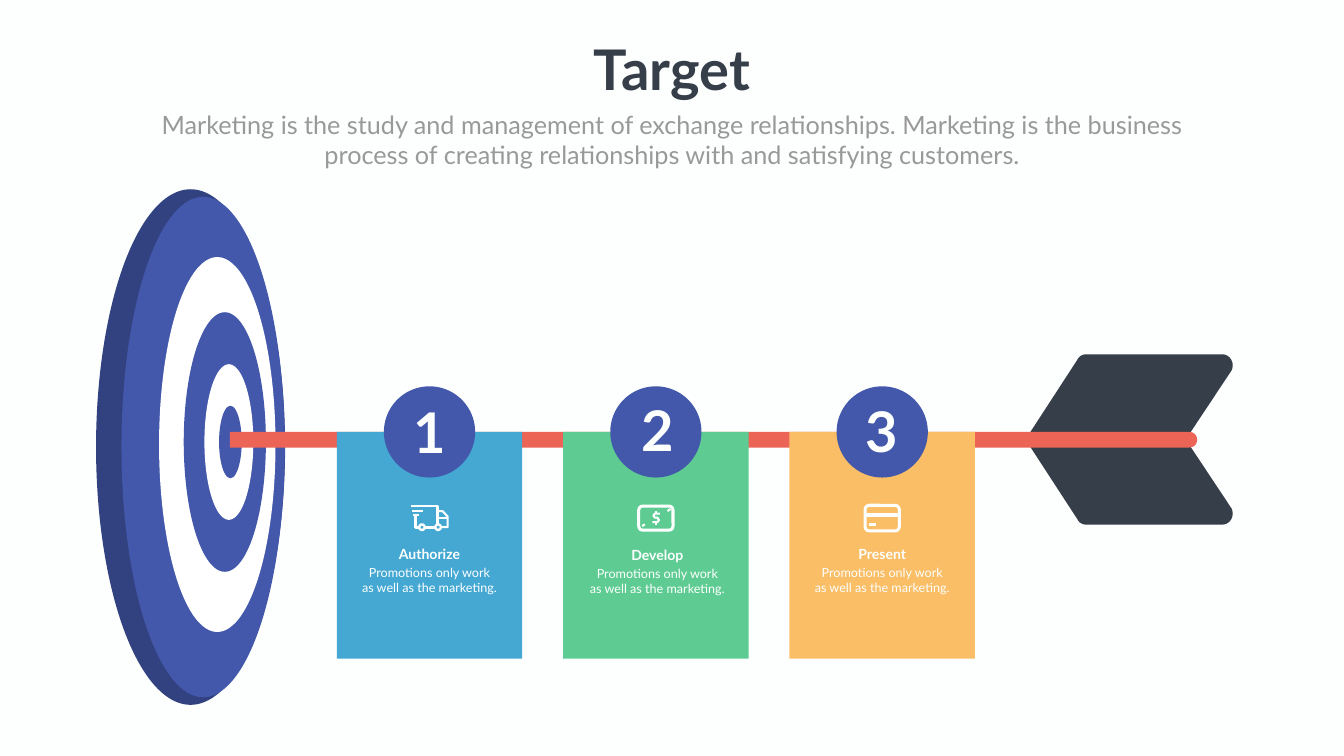
from lxml import etree
from pptx import Presentation, util as u
from pptx.dml.color import RGBColor
from pptx.enum import shapes, text
from pptx.oxml.ns import qn

COLORS = {"paper": "FDFFFE", "white": "FFFFFF", "ink": "353E49", "gray": "989998",
          "navy": "324280", "blue": "4358AB", "red": "EC6455",
          "sky": "44A8D3", "green": "5ECC92", "amber": "F9BE66"}
COLS, ROWS = 26.66, 15
OVAL, RECT, ROUND = (shapes.MSO_SHAPE.OVAL, shapes.MSO_SHAPE.RECTANGLE,
                     shapes.MSO_SHAPE.ROUNDED_RECTANGLE)


def rgb(name):
    """Look up a colour by name."""
    return RGBColor.from_string(COLORS[name])


def write(tf, content, size=18, color="paper", bold=False, wrap=True):
    """Fill a text frame with centred paragraphs, one for each line."""
    tf.word_wrap = wrap
    for i, line in enumerate(content.split("\n")):
        p = tf.paragraphs[0] if i == 0 else tf.add_paragraph()
        p.alignment = text.PP_ALIGN.CENTER
        r = p.add_run()
        r.text = line
        r.font.name, r.font.size, r.font.bold = "Lato", u.Pt(size), bold
        r.font.color.rgb = rgb(color)


def bezier(a, b, c, d, steps=10):
    """Return points along a cubic curve, without its start."""
    ts = [i / steps for i in range(1, steps + 1)]
    return [tuple((1 - t) ** 3 * w + 3 * t * (1 - t) ** 2 * x
                  + 3 * t * t * (1 - t) * y + t ** 3 * z
                  for w, x, y, z in zip(a, b, c, d)) for t in ts]


class Deck:
    """Hold the grid and the current slide."""

    def __init__(self):
        """Open a deck with one blank slide."""
        self.prs = Presentation()
        self.prs.slide_width, self.prs.slide_height = u.Inches(COLS), u.Inches(ROWS)
        self.s = self.prs.slides.add_slide(self.prs.slide_layouts[6])
        fill = self.s.background.fill
        fill.solid()
        fill.fore_color.rgb = rgb("paper")

    def grid(self, *cells):
        """Turn column and row pairs into lengths."""
        units = self.prs.slide_width / COLS, self.prs.slide_height / ROWS
        return [round(n * units[i % 2]) for i, n in enumerate(cells)]

    def paint(self, sp, color=None, line=None):
        """Give a shape a fill or an outline."""
        sp.shadow.inherit = False
        if color:
            sp.fill.solid()
            sp.fill.fore_color.rgb = rgb(color)
        else:
            sp.fill.background()
        if line:
            sp.line.color.rgb, sp.line.width = rgb("paper"), u.Pt(line)
        else:
            sp.line.fill.background()

    def shape(self, kind, cx, cy, w, h, color=None, line=None):
        """Draw a preset shape around its centre."""
        sp = self.s.shapes.add_shape(kind, *self.grid(cx - w / 2, cy - h / 2, w, h))
        self.paint(sp, color, line)
        return sp

    def outline(self, points, color=None, line=None):
        """Draw a filled outline or an open stroke."""
        points = [self.grid(*p) for p in points]
        fb = self.s.shapes.build_freeform(*points[0])
        fb.add_line_segments(points[1:], close=color is not None)
        self.paint(fb.convert_to_shape(), color, line)

    def line(self, x1, y1, x2, y2, width):
        """Draw a straight line."""
        sp = self.s.shapes.add_connector(shapes.MSO_CONNECTOR.STRAIGHT,
                                         *self.grid(x1, y1, x2, y2))
        sp.line.color.rgb, sp.line.width = rgb("paper"), u.Pt(width)
        etree.SubElement(sp._element.spPr, qn("a:effectLst"))

    def label(self, content, cx, top, w, h, **fmt):
        """Place a text box centred on a column."""
        sp = self.s.shapes.add_textbox(*self.grid(cx - w / 2, top, w, h))
        write(sp.text_frame, content, **fmt)


def truck(d, x, y):
    """Draw the delivery icon."""
    d.outline([(x - .37, y - .24), (x + .16, y - .24), (x + .16, y + .13)], line=4)
    d.outline([(x + .19, y - .14), (x + .26, y - .14), (x + .36, y - .03),
               (x + .36, y + .18), (x + .23, y + .18)], line=3)
    d.outline([(x - .28, y - .05), (x - .28, y + .18), (x - .2, y + .18)], line=4)
    for x1, dy, x2, width in ((-.35, -.14, -.12, 4), (-.32, -.06, -.2, 3.4),
                              (-.1, .18, .11, 4), (.17, -.01, .36, 3)):
        d.line(x + x1, y + dy, x + x2, y + dy, width)
    for dx in (-.15, .17):
        d.shape(OVAL, x + dx, y + .18, .11, .11, line=3.4)


def banknote(d, x, y):
    """Draw the money icon."""
    d.shape(ROUND, x, y, .68, .48, line=4.3)
    d.outline([(x + .08, y - .09), (x - .02, y - .09), (x - .05, y - .05),
               (x - .02, y - .01), (x + .03, y - .01), (x + .06, y + .04),
               (x + .03, y + .08), (x - .07, y + .08)], line=3)
    for x1, y1, x2, y2 in ((0, -.15, 0, -.09), (0, .09, 0, .14),
                           (.23, -.14, .29, -.18), (-.27, .16, -.22, .12)):
        d.line(x + x1, y + y1, x + x2, y + y2, 3)


def bank_card(d, x, y):
    """Draw the payment icon."""
    d.shape(ROUND, x, y, .68, .51, line=4.3)
    d.line(x - .34, y - .06, x + .34, y - .06, 5)
    d.line(x - .26, y + .13, x - .12, y + .13, 3.6)


def main():
    """Build the slide."""
    d = Deck()
    blade = [(20.42, 8.6), *bezier((21.37, 7.14), (21.4, 7.07), (21.47, 7.03), (21.55, 7.03)),
             (24.24, 7.03), *bezier((24.24, 7.03), (24.4, 7.03), (24.5, 7.2), (24.43, 7.35)),
             (23.6, 8.6)]
    blade.insert(1, (21.37, 7.14))
    d.outline(blade, "ink")
    d.outline([(x, 17.44 - y) for x, y in blade], "ink")

    for cx, cy, w, h, color in ((3.78, 8.87, 3.75, 10.23, "navy"), (4.03, 8.87, 3.24, 9.93, "blue"),
                                (4.31, 8.82, 2.31, 7.44, "white"), (4.46, 8.77, 1.63, 5.15, "blue"),
                                (4.54, 8.77, .97, 3.09, "white"), (4.57, 8.77, .45, 1.44, "blue")):
        d.shape(OVAL, cx, cy, w, h, color)
    d.outline([(4.56, 8.57), (23.59, 8.57),
               *bezier((23.59, 8.57), (23.8, 8.57), (23.8, 8.88), (23.59, 8.88)),
               (4.56, 8.88)], "red")

    d.label("Target", 13.33, .63, 3.5, 1.45, size=80, color="ink", bold=True, wrap=False)
    d.label("Marketing is the study and management of exchange relationships. "
            "Marketing is the business process of creating relationships with "
            "and satisfying customers.", 13.33, 2.12, 20.82, 1.31, size=36, color="gray")

    cards = (("Authorize", "sky", truck, 7.84, 0, 0),
             ("Develop", "green", banknote, 7.79, .03, .02),
             ("Present", "amber", bank_card, 7.81, 0, 0))
    for i, (name, color, icon, top, dx, dy) in enumerate(cards):
        cx = 8.52 + 4.49 * i
        d.shape(RECT, cx, 10.82, 3.68, 4.5, color)
        d.shape(OVAL, cx, 8.57, 1.81, 1.81, "blue")
        d.label(str(i + 1), cx + dx, top, .85, 1.45, size=80, bold=True, wrap=False)
        icon(d, cx, 10.28)
        d.label(name, cx + dx, 10.78 + dy, 1.9, .44, size=20, bold=True)
        d.label("Promotions only work\nas well as the marketing.",
                cx + dx, 11.16 + dy, 3.38, .71)

    d.prs.save("out.pptx")


if __name__ == "__main__":
    main()
